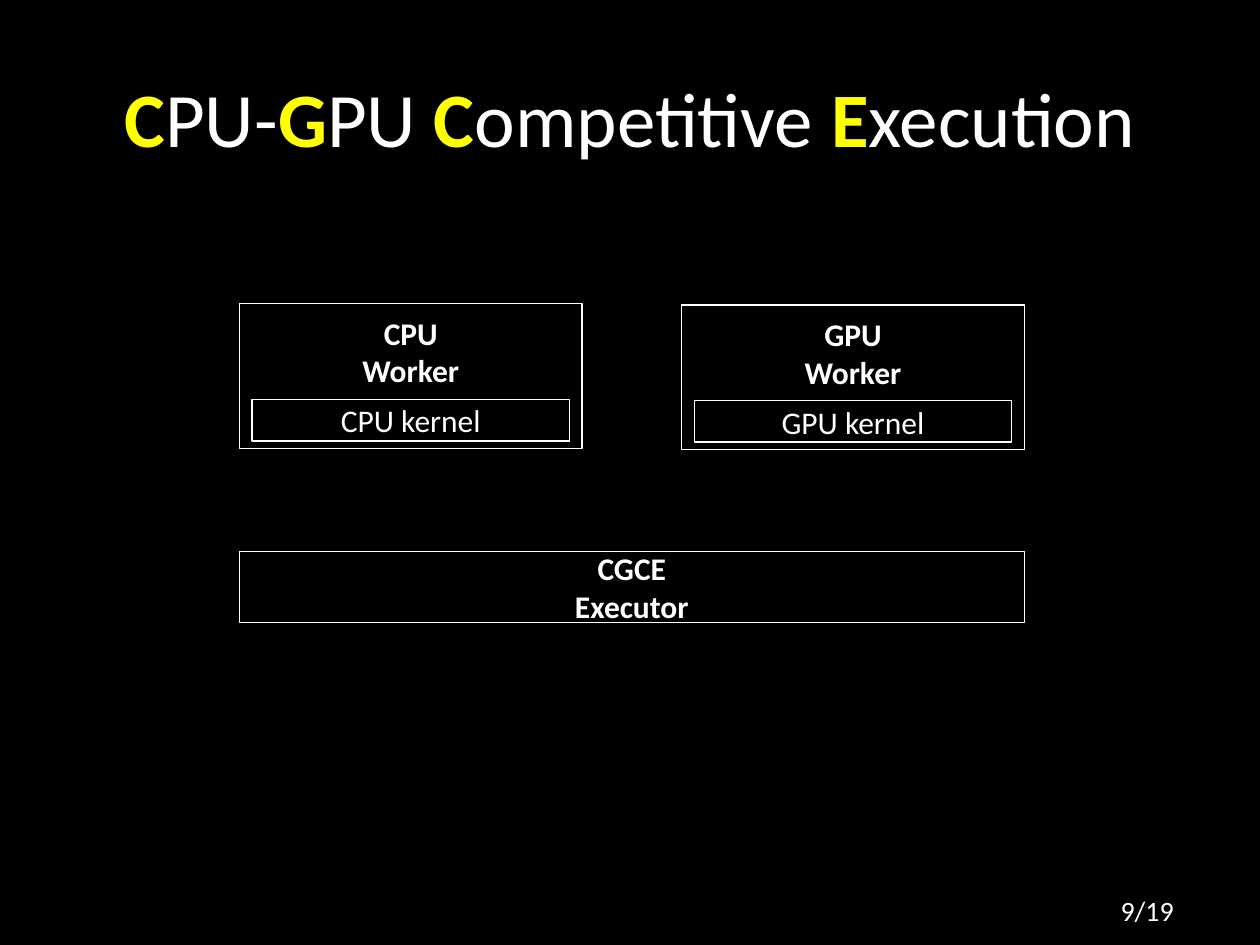
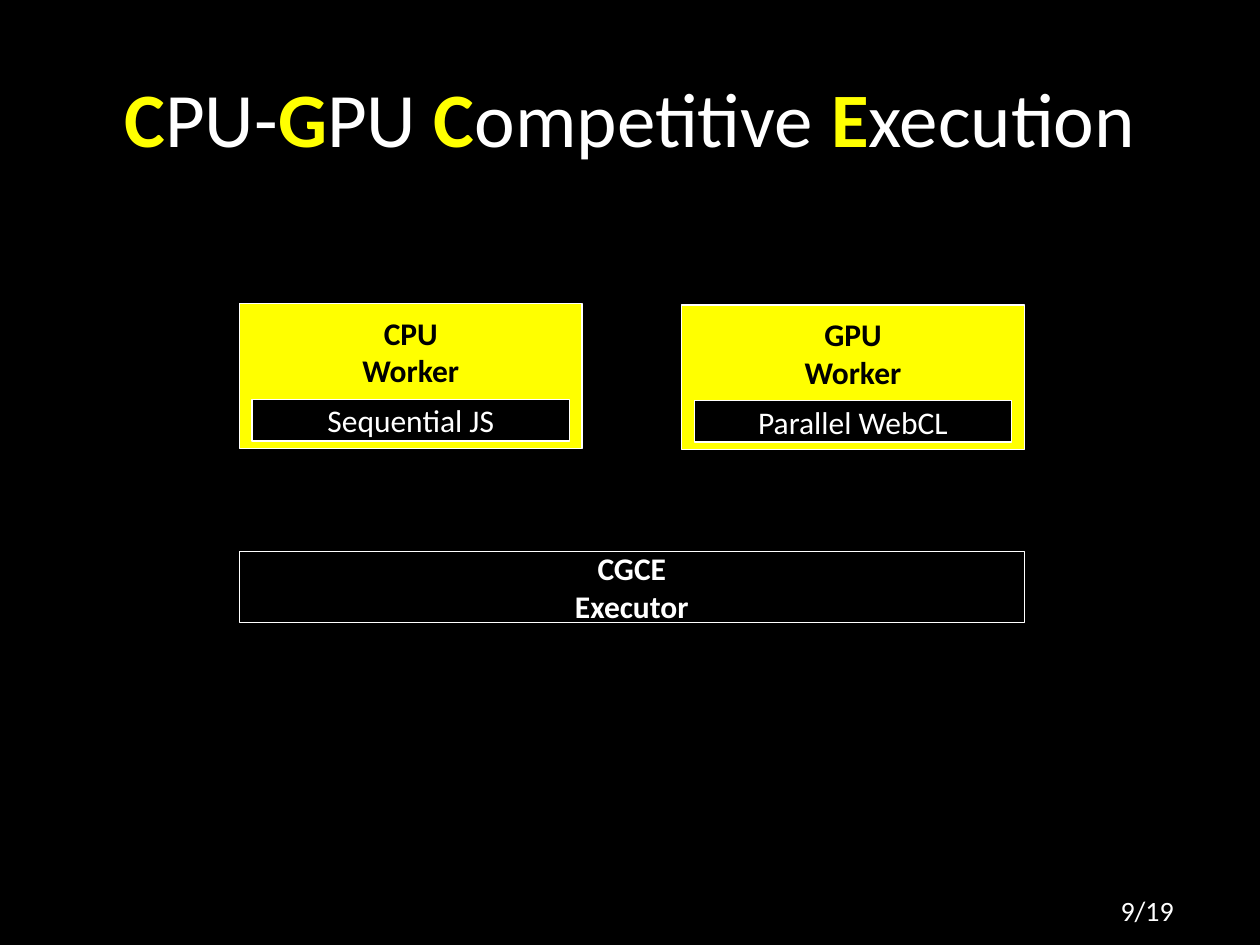
import pptx
import pptx.util
import pptx.dml.color
import pptx.enum.shapes
import pptx.enum.text
from dataclasses import dataclass

Inches = pptx.util.Inches

TITLE = [("C", "PU-"), ("G", "PU "), ("C", "ompetitive "), ("E", "xecution")]
PAGE = "9/19"
BASE = ["CGCE", "Executor"]
UNITS = [("CPU", 1.9, 2.41), ("GPU", 5.41, 2.42)]
SLIDES = [
    {"kernels": ["CPU kernel", "GPU kernel"], "lit": False},
    {"kernels": ["Sequential JS", "Parallel WebCL"], "lit": True},
]

TITLE_BOX = (0.5, 0.3, 9, 1.25)
PAGE_BOX = (8.21, 7.04, 1.79, 0.37)
BASE_BOX = (1.9, 4.38, 6.23, 0.56)
WORK_W, WORK_H = 2.72, 1.15
PAD = 0.1
LABEL_Y, LABEL_H = 0.05, 0.66
KERN_Y, KERN_H = 0.76, 0.33


def rgb(code):
    return pptx.dml.color.RGBColor.from_string(code)


@dataclass(frozen=True)
class Theme:
    font: str = "Calibri"
    back = rgb("000000")
    ink = rgb("FFFFFF")
    glow = rgb("FFFF00")
    title: int = 44
    body: int = 18
    page: int = 16
    line: float = 0.75


LOOK = Theme()
MID = pptx.enum.text.MSO_ANCHOR.MIDDLE
TOP = pptx.enum.text.MSO_ANCHOR.TOP


def add_run(para, text, size, color, bold=False):
    run = para.add_run()
    run.text = text
    run.font.color.rgb = color
    style = {"name": LOOK.font, "size": pptx.util.Pt(size), "bold": bold}
    for key, value in style.items():
        setattr(run.font, key, value)


def write(shape, lines, size, anchor=MID):
    frame = shape.text_frame
    style = {"word_wrap": True, "vertical_anchor": anchor}
    for key, value in style.items():
        setattr(frame, key, value)
    for i, runs in enumerate(lines):
        para = frame.add_paragraph() if i else frame.paragraphs[0]
        para.alignment = pptx.enum.text.PP_ALIGN.CENTER
        for text, color, bold in runs:
            add_run(para, text, size, color, bold)


def add_text(slide, box, lines, size, anchor=MID):
    shape = slide.shapes.add_textbox(*map(Inches, box))
    write(shape, lines, size, anchor)


def add_rect(slide, box, fill, lines=()):
    kind = pptx.enum.shapes.MSO_SHAPE.RECTANGLE
    shape = slide.shapes.add_shape(kind, *map(Inches, box))
    shape.shadow.inherit = False
    shape.fill.solid()
    shape.fill.fore_color.rgb = fill
    shape.line.color.rgb = LOOK.ink
    shape.line.width = pptx.util.Pt(LOOK.line)
    write(shape, lines, LOOK.body)


def add_worker(slide, unit, kernel, lit):
    name, left, top = unit
    fill, ink = (LOOK.glow, LOOK.back) if lit else (LOOK.back, LOOK.ink)
    inner = WORK_W - 2 * PAD
    add_rect(slide, (left, top, WORK_W, WORK_H), fill)
    add_text(slide, (left + PAD, top + LABEL_Y, inner, LABEL_H),
             [[(name, ink, True)], [("Worker", ink, True)]], LOOK.body)
    add_rect(slide, (left + PAD, top + KERN_Y, inner, KERN_H),
             LOOK.back, [[(kernel, LOOK.ink, False)]])


def add_frame(slide):
    runs = []
    for head, tail in TITLE:
        runs += [(head, LOOK.glow, True), (tail, LOOK.ink, False)]
    add_text(slide, TITLE_BOX, [runs], LOOK.title)
    add_text(slide, PAGE_BOX, [[(PAGE, LOOK.ink, False)]], LOOK.page, TOP)


def main():
    deck = pptx.Presentation()
    deck.slide_width, deck.slide_height = Inches(10), Inches(7.5)
    back = deck.slide_master.background.fill
    back.solid()
    back.fore_color.rgb = LOOK.back
    for data in SLIDES:
        slide = deck.slides.add_slide(deck.slide_layouts[6])
        add_frame(slide)
        add_rect(slide, BASE_BOX, LOOK.back,
                 [[(word, LOOK.ink, True)] for word in BASE])
        for unit, kernel in zip(UNITS, data["kernels"]):
            add_worker(slide, unit, kernel, data["lit"])
    deck.save("out.pptx")


if __name__ == "__main__":
    main()
